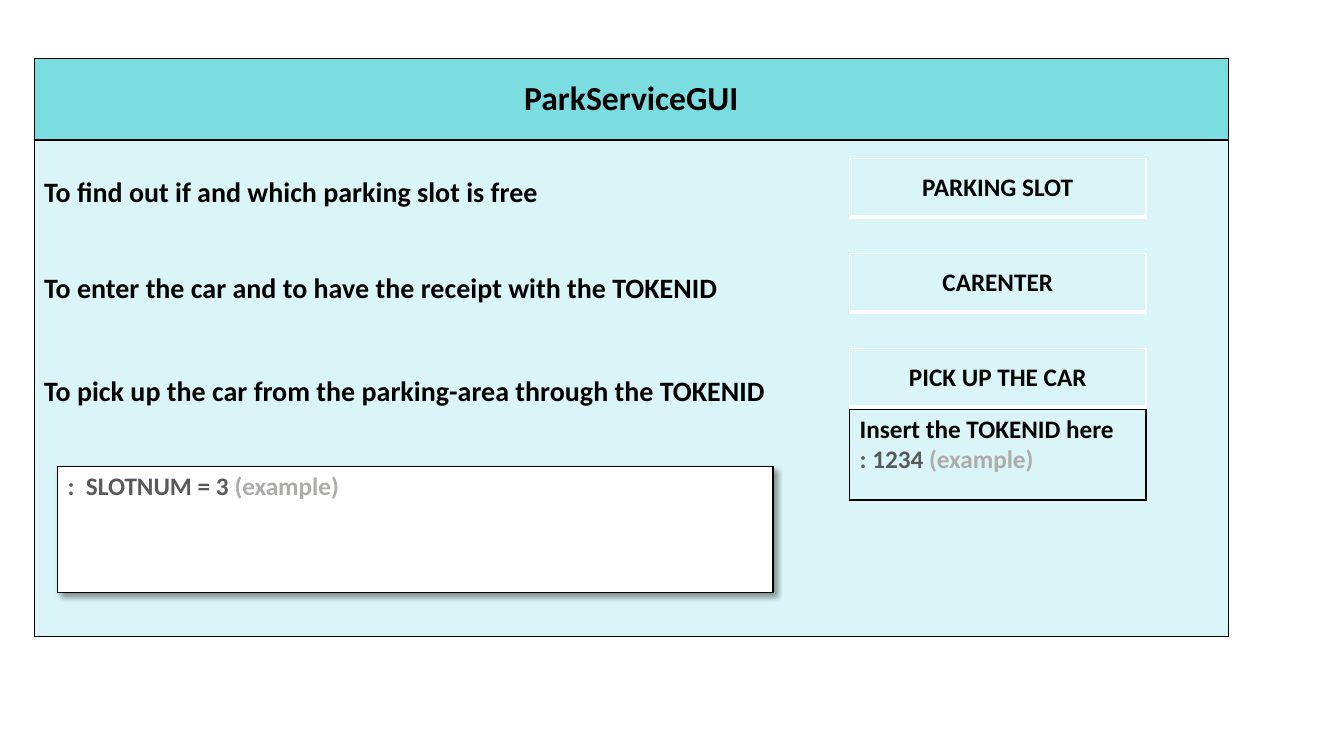
from lxml.etree import SubElement
from pptx import Presentation
from pptx.dml.color import RGBColor
from pptx.enum.text import MSO_ANCHOR, PP_ALIGN
from pptx.oxml import parse_xml
from pptx.oxml.ns import nsdecls, qn
from pptx.util import Cm, Pt

theme = {
    "font": "Calibri",
    "black": "000000", "white": "FFFFFF", "dark": "595959", "grey": "AFABAB",
    "head": "7BDDDF", "pale": "DAF5F8",
    "title": 24, "body": 20, "label": 18,
}

deck = Presentation()
deck.slide_width, deck.slide_height = Cm(33.87), Cm(19.05)
slide = deck.slides.add_slide(deck.slide_layouts[6])


def add_box(place, lines, size, fill=None, edge="black", base=1, mid=False, gaps=()):
    """Add a one-cell table; each line is a list of (text, colour) runs."""
    table = slide.shapes.add_table(1, 1, *map(Cm, place)).table
    table.first_row = table.horz_banding = False
    cell = table.cell(0, 0)

    # Borders, with a separate width for the base
    props = cell._tc.get_or_add_tcPr()
    for side, width in zip("LRTB", (1, 1, 1, base)):
        line = SubElement(props, qn(f"a:ln{side}"), w=str(Pt(width)))
        paint = SubElement(line, qn("a:solidFill"))
        SubElement(paint, qn("a:srgbClr"), val=theme[edge])

    if fill:
        cell.fill.solid()
        cell.fill.fore_color.rgb = RGBColor.from_string(theme[fill])
    else:
        cell.fill.background()
    cell.vertical_anchor = MSO_ANCHOR.MIDDLE if mid else MSO_ANCHOR.TOP

    # Text
    frame = cell.text_frame
    for i, runs in enumerate(lines):
        para = frame.paragraphs[0] if i == 0 else frame.add_paragraph()
        para.alignment = PP_ALIGN.CENTER if mid else PP_ALIGN.LEFT
        if gaps:
            para.space_before = Pt(gaps[i])
        for text, tone in runs:
            run = para.add_run()
            run.text = text
            look = {"name": theme["font"], "size": Pt(theme[size]), "bold": True}
            for key, value in look.items():
                setattr(run.font, key, value)
            run.font.color.rgb = RGBColor.from_string(theme[tone])
    return table


# Window title and body
left, wide = 0.86, 30.1
add_box((left, 1.47, wide, 2.04), [[("ParkServiceGUI", "black")]],
        "title", "head", mid=True)
tasks = ["To find out if and which parking slot is free",
         "To enter the car and to have the receipt with the TOKENID",
         "To pick up the car from the parking-area through the TOKENID"]
body = add_box((left, 3.53, wide, 12.5), [[(task, "black")] for task in tasks],
               "body", "pale", gaps=(0, 44, 49))
body.cell(0, 0).margin_top = Cm(0.9)

# Button column
col, span = 21.41, 7.47
for i, name in enumerate(["PARKING SLOT", "CARENTER", "PICK UP THE CAR"]):
    add_box((col, 3.99 + 2.4 * i, span, 1.47), [[(name, "black")]],
            "label", "pale", edge="white", base=3, mid=True)

# Slot output with its shadow
slot = add_box((1.45, 11.76, 18.03, 3.17),
               [[(":  SLOTNUM = 3 ", "dark"), ("(example)", "grey")]],
               "label", "white")
slot._tbl.tblPr.insert(0, parse_xml(
    f'<a:effectLst {nsdecls("a")}><a:outerShdw blurRad="50800" dist="38100" '
    'dir="2700000" algn="tl" rotWithShape="0"><a:srgbClr val="000000">'
    '<a:alpha val="40000"/></a:srgbClr></a:outerShdw></a:effectLst>'))

# Token input
add_box((col, 10.31, span, 2.29),
        [[("Insert the TOKENID here", "black")],
         [(": 1234 ", "dark"), ("(example)", "grey")]], "label")

deck.save("out.pptx")
